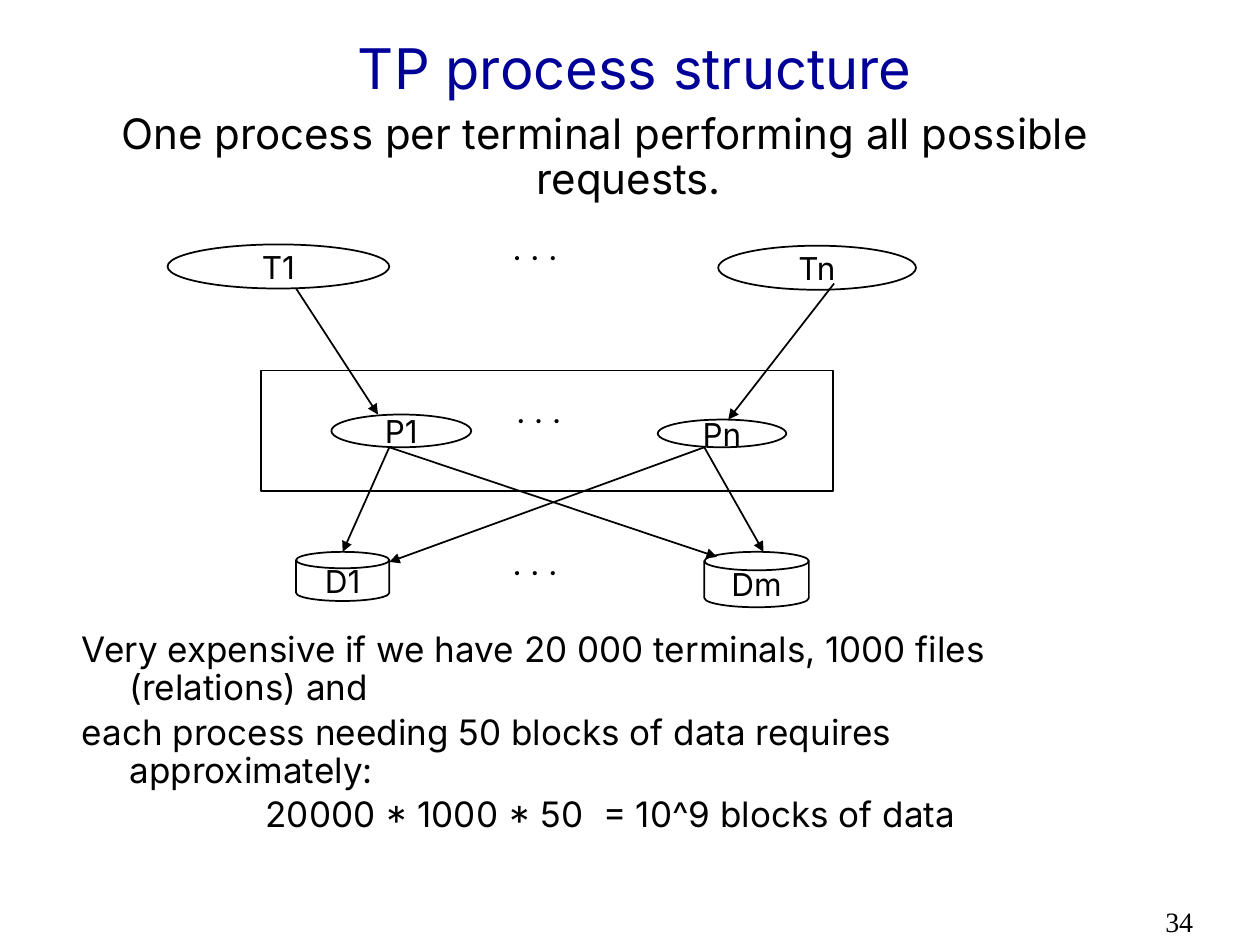
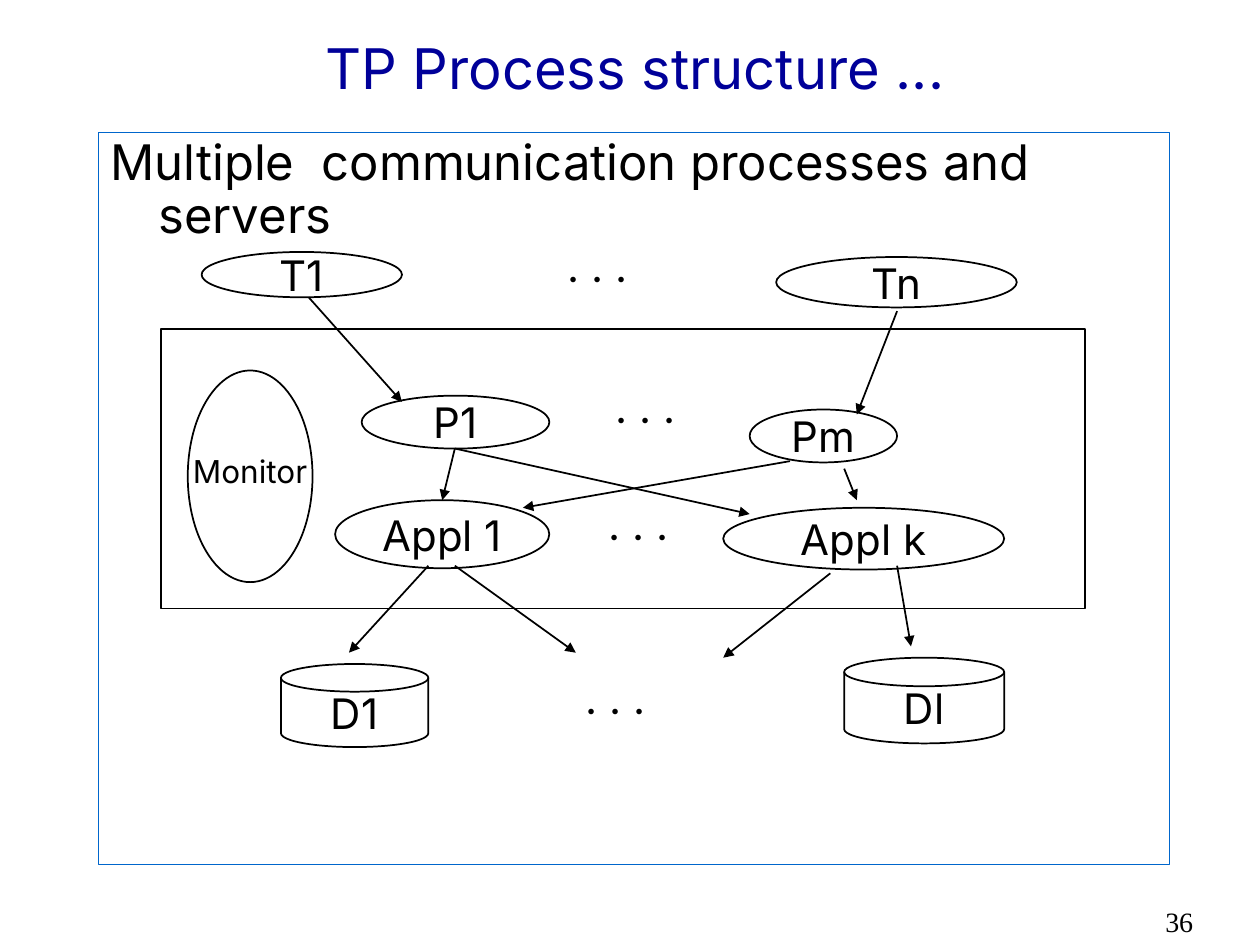
from lxml import etree
from pptx import Presentation
from pptx.dml.color import RGBColor
from pptx.enum.shapes import MSO_CONNECTOR, MSO_SHAPE
from pptx.enum.text import MSO_ANCHOR, PP_ALIGN
from pptx.oxml.ns import qn
from pptx.util import Inches, Pt

OVAL, BOX = MSO_SHAPE.OVAL, MSO_SHAPE.RECTANGLE
DISK = MSO_SHAPE.FLOWCHART_MAGNETIC_DISK
STRAIGHT = MSO_CONNECTOR.STRAIGHT
LEFT, CENTER = PP_ALIGN.LEFT, PP_ALIGN.CENTER
MIDDLE = MSO_ANCHOR.MIDDLE

COLORS = {"ink": "000000", "title": "000099", "frame": "0066CC"}
SANS, SERIF = "Inter", "Times New Roman"
WIDTH, HEIGHT = Inches(10), Inches(7.5)
COL = WIDTH / 10       # the grid: 10 columns by 7.5 square rows
HANG = 0.38            # hanging indent of body text
TIGHT = 0.9            # line spacing of body text
CONTENT_WIDTH = 8.5
TITLE_AREA = (0.79, 0.19, CONTENT_WIDTH, 0.69)
NUMBER_AREA = (9.15, 7.13, 0.85, 0.37)


def grid(*cells):
    return [round(n * COL) for n in cells]


def color(name):
    return RGBColor.from_string(COLORS[name])


def style(p, size, align=LEFT, font=SANS, ink="ink"):
    p.alignment = align
    p.font.size, p.font.name = Pt(size), font
    p.font.color.rgb = color(ink)


def indent(p, left, first=0):
    pPr = p._p.get_or_add_pPr()
    for name, value in zip(("marL", "indent"), grid(left, first)):
        pPr.set(name, str(value))


def add_text(slide, area, lines, size, align=LEFT, font=SANS, hang=0, spacing=1):
    """Text box with one paragraph per line; returns the box."""
    sp = slide.shapes.add_textbox(*grid(*area))
    tf = sp.text_frame
    tf.word_wrap = True
    tf.text = "\n".join(lines)
    for p in tf.paragraphs:
        style(p, size, align, font)
        p.space_before, p.line_spacing = Pt(size * 0.2), spacing
        indent(p, hang, -hang)
    return sp


def add_body(slide, area, lines, size, align=LEFT):
    return add_text(slide, area, lines, size, align, hang=HANG, spacing=TIGHT)


def add_node(slide, kind, area, label="", size=18, spacing=1):
    sp = slide.shapes.add_shape(kind, *grid(*area))
    sp.shadow.inherit = False
    sp.fill.background()
    sp.line.color.rgb, sp.line.width = color("ink"), Pt(1)
    if label:
        tf = sp.text_frame
        tf.word_wrap, tf.vertical_anchor = False, MIDDLE
        p = tf.paragraphs[0]
        p.text, p.line_spacing = label, spacing
        style(p, size, CENTER)


def add_arrow(slide, start, end):
    cxn = slide.shapes.add_connector(STRAIGHT, *grid(*start, *end))
    cxn.line.color.rgb, cxn.line.width = color("ink"), Pt(1)
    etree.SubElement(cxn.line._get_or_add_ln(), qn("a:tailEnd"), type="triangle")
    etree.SubElement(cxn._element.spPr, qn("a:effectLst"))


def add_diagram(slide, size, nodes, arrows, dots):
    """Nodes, the arrows between them, and the dots at the given corners."""
    for kind, area, label in nodes:
        add_node(slide, kind, area, label, size)
    for start, end in arrows:
        add_arrow(slide, start, end)
    for left, top in dots:
        add_text(slide, (left, top, 1, size / 48), [". . ."], size)


def add_slide(prs, title, number):
    slide = prs.slides.add_slide(prs.slide_layouts[5])
    sp = slide.shapes.title
    sp.left, sp.top, sp.width, sp.height = grid(*TITLE_AREA)
    sp.text_frame.text = title
    sp.text_frame.vertical_anchor = MIDDLE
    style(sp.text_frame.paragraphs[0], 32, CENTER, ink="title")
    add_text(slide, NUMBER_AREA, [number], 16, font=SERIF)
    return slide


def process_per_terminal(prs):
    slide = add_slide(prs, "TP process structure", "34")
    add_body(slide, (0.55, 0.85, CONTENT_WIDTH, 0.85),
             ["One process per terminal performing all possible requests."],
             24, CENTER)
    notes = add_body(slide, (0.55, 4.97, CONTENT_WIDTH, 1.69), [
        "Very expensive if we have 20 000 terminals, 1000 files (relations) and",
        "each process needing 50 blocks of data requires approximately:",
        "20000 * 1000 * 50  = 10^9 blocks of data",
    ], 20)
    indent(notes.text_frame.paragraphs[-1], 1.46)

    # Terminals, processes and disks
    p1, pn = (3.09, 3.55), (5.59, 3.55)
    add_diagram(slide, 18, [
        (OVAL, (1.33, 1.94, 1.76, 0.35), "T1"),
        (OVAL, (5.7, 1.95, 1.57, 0.35), "Tn"),
        (BOX, (2.07, 2.94, 4.54, 0.96), ""),
        (OVAL, (2.63, 3.29, 1.11, 0.26), "P1"),
        (OVAL, (5.22, 3.33, 1.02, 0.22), "Pn"),
        (DISK, (2.35, 4.38, 0.74, 0.39), "D1"),
        (DISK, (5.59, 4.38, 0.83, 0.44), "Dm"),
    ], [
        ((2.35, 2.29), (3, 3.29)),
        ((6.62, 2.25), (5.78, 3.33)),
        (p1, (2.72, 4.38)),
        (p1, (5.69, 4.42)),
        (pn, (3.09, 4.46)),
        (pn, (6.06, 4.38)),
    ], [(3.97, 1.77), (4, 3.06), (3.97, 4.27)])


def multiple_servers(prs):
    slide = add_slide(prs, "TP Process structure ...", "36")
    # The tight lines keep the heading clear of the terminals
    frame = add_body(slide, (0.78, 1.05, CONTENT_WIDTH, 5.81),
                     ["Multiple  communication processes and servers"], 28)
    frame.line.color.rgb, frame.line.width = color("frame"), Pt(0.75)

    # Terminals, processes, applications and disks
    p1 = (3.61, 3.56)
    add_diagram(slide, 24, [
        (OVAL, (1.6, 2, 1.59, 0.36), "T1"),
        (OVAL, (6.16, 2.04, 1.91, 0.4), "Tn"),
        (BOX, (1.28, 2.61, 7.33, 2.22), ""),
        (OVAL, (2.87, 3.14, 1.49, 0.42), "P1"),
        (OVAL, (5.95, 3.25, 1.17, 0.42), "Pm"),
        (OVAL, (2.66, 3.97, 1.7, 0.54), "Appl 1"),
        (OVAL, (5.74, 4.03, 2.23, 0.49), "Appl k"),
        (DISK, (2.23, 5.27, 1.17, 0.66), "D1"),
        (DISK, (6.7, 5.22, 1.27, 0.68), "Dl"),
    ], [
        ((2.45, 2.36), (3.19, 3.19)),
        ((7.12, 2.47), (6.8, 3.29)),
        (p1, (3.51, 3.97)),
        (p1, (5.95, 4.08)),
        ((6.27, 3.66), (4.15, 4.03)),
        ((6.7, 3.72), (6.8, 3.97)),
        ((3.4, 4.49), (2.77, 5.18)),
        ((3.61, 4.49), (4.57, 5.18)),
        ((6.59, 4.55), (5.74, 5.22)),
        ((7.12, 4.49), (7.23, 5.13)),
    ], [(4.41, 1.86), (4.79, 2.98), (4.73, 3.91), (4.55, 5.29)])
    add_node(slide, OVAL, (1.49, 2.94, 0.99, 1.68), "Monitor", spacing=0.6)


def main():
    prs = Presentation()
    prs.slide_width, prs.slide_height = WIDTH, HEIGHT
    process_per_terminal(prs)
    multiple_servers(prs)
    prs.save("out.pptx")


main()
